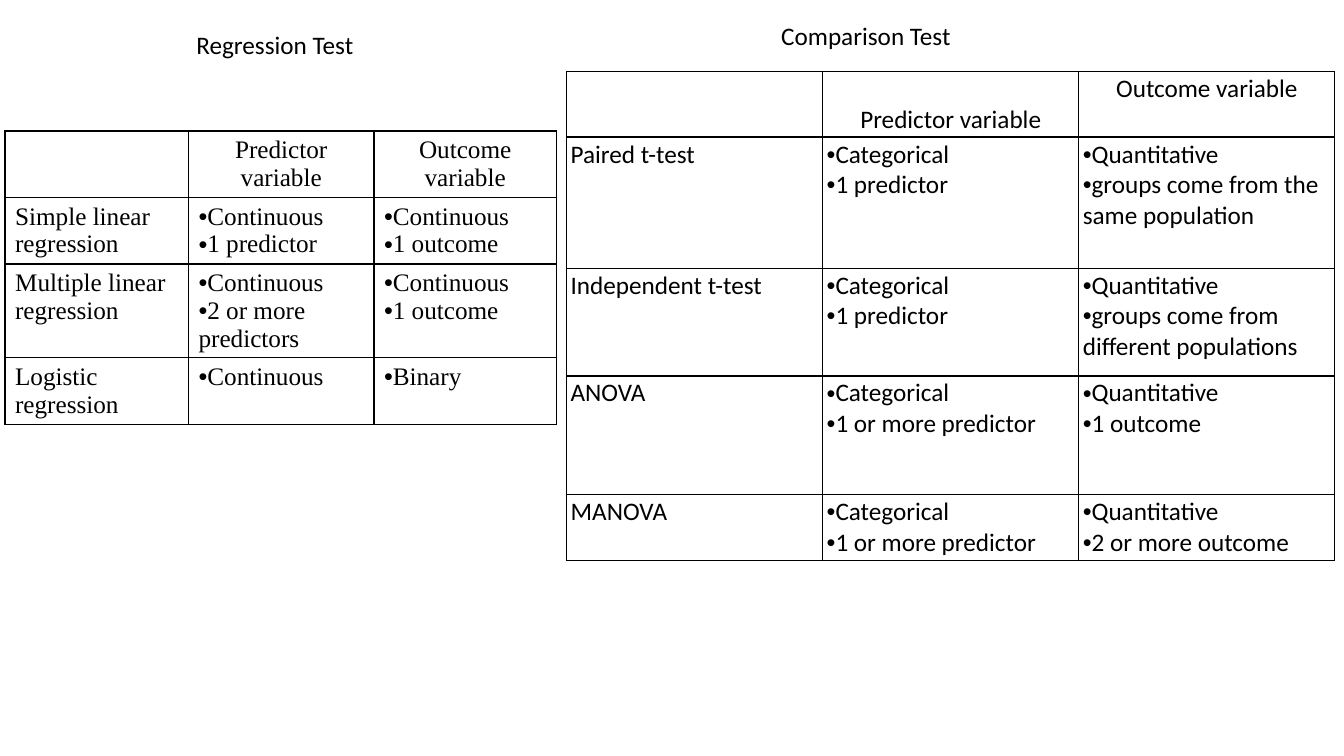
from lxml.etree import SubElement
from pptx import Presentation
from pptx.dml.color import RGBColor
from pptx.enum.text import PP_ALIGN
from pptx.oxml.ns import qn
from pptx.util import Inches, Pt

COLORS = {"text": "000000", "border": "000000", "cell": "FFFFFF"}
SIZE = 18

# Content: a list in a cell is bulleted, "\n" is a line break
TITLES = [("Regression Test", 1.85, 0.24), ("Comparison Test", 7.65, 0.15)]

TABLES = [
    {
        "at": (0.05, 1.3),
        "cols": [1.82, 1.84, 1.81],
        "rows": [0.66, 0.66, 0.93, 0.66],
        "font": "Times New Roman",
        "margins": (0.1, 0.05),
        "cells": [
            ["", "Predictor variable", "Outcome variable"],
            ["Simple linear regression", ["Continuous", "1 predictor"],
             ["Continuous", "1 outcome"]],
            ["Multiple linear regression", ["Continuous", "2 or more predictors"],
             ["Continuous", "1 outcome"]],
            ["Logistic regression", ["Continuous"], ["Binary"]],
        ],
    },
    {
        "at": (5.62, 0.71),
        "cols": [2.54] * 3,
        "rows": [0.65, 1.3, 1.07, 1.18, 0.65],
        "font": "Calibri",
        "margins": (0.04, 0.02),
        "cells": [
            ["", "\nPredictor variable", "Outcome variable"],
            ["Paired t-test", ["Categorical", "1 predictor"],
             ["Quantitative", "groups come from the same population"]],
            ["Independent t-test", ["Categorical", "1 predictor"],
             ["Quantitative", "groups come from different populations"]],
            ["ANOVA", ["Categorical", "1 or more predictor"],
             ["Quantitative", "1 outcome"]],
            ["MANOVA", ["Categorical", "1 or more predictor"],
             ["Quantitative", "2 or more outcome"]],
        ],
    },
]


def add_text(p, text, font):
    for i, line in enumerate(text.split("\n")):
        if i:
            p.add_line_break()
        if line:
            r = p.add_run()
            r.text = line
            r.font.name = font
            r.font.size = Pt(SIZE)
            r.font.bold = False
            r.font.color.rgb = RGBColor.from_string(COLORS["text"])
    p.font.size = Pt(SIZE)


def add_bullet(p):
    pPr = p._p.get_or_add_pPr()
    pPr.set("marL", "0")
    pPr.set("indent", "0")
    bullet_font = pPr.makeelement(qn("a:buFont"), {"typeface": "Arial"})
    bullet = pPr.makeelement(qn("a:buChar"), {"char": "•"})
    pPr.insert(0, bullet_font)
    pPr.insert(1, bullet)


def style_cell(cell, margins):
    cell.margin_left = cell.margin_right = Inches(margins[0])
    cell.margin_top = cell.margin_bottom = Inches(margins[1])
    tcPr = cell._tc.get_or_add_tcPr()
    for side in ("lnL", "lnR", "lnT", "lnB"):
        ln = SubElement(tcPr, qn(f"a:{side}"), w=str(Pt(1)))
        fill = SubElement(ln, qn("a:solidFill"))
        SubElement(fill, qn("a:srgbClr"), val=COLORS["border"])
    cell.fill.solid()
    cell.fill.fore_color.rgb = RGBColor.from_string(COLORS["cell"])


def add_test_table(s, spec_table):
    cols, rows = spec_table["cols"], spec_table["rows"]
    left, top = spec_table["at"]
    table = s.shapes.add_table(len(rows), len(cols), Inches(left), Inches(top),
                               Inches(sum(cols)), Inches(sum(rows))).table
    table.first_row = table.horz_banding = False
    for column, width in zip(table.columns, cols):
        column.width = Inches(width)
    for row, height in zip(table.rows, rows):
        row.height = Inches(height)

    for i, line in enumerate(spec_table["cells"]):
        for j, content in enumerate(line):
            cell = table.cell(i, j)
            style_cell(cell, spec_table["margins"])
            tf = cell.text_frame
            bulleted = isinstance(content, list)
            for k, text in enumerate(content if bulleted else [content]):
                p = tf.add_paragraph() if k else tf.paragraphs[0]
                p.alignment = PP_ALIGN.LEFT if i else PP_ALIGN.CENTER
                add_text(p, text, spec_table["font"])
                if bulleted:
                    add_bullet(p)


prs = Presentation()
prs.slide_width, prs.slide_height = Inches(13.33), Inches(7.5)
s = prs.slides.add_slide(prs.slide_layouts[6])

# Tables
for test_table in TABLES:
    add_test_table(s, test_table)

# Titles
for title, left, top in TITLES:
    tf = s.shapes.add_textbox(Inches(left), Inches(top), Inches(3.1), Inches(0.4)).text_frame
    tf.word_wrap = True
    add_text(tf.paragraphs[0], title, "Calibri")

prs.save("out.pptx")
